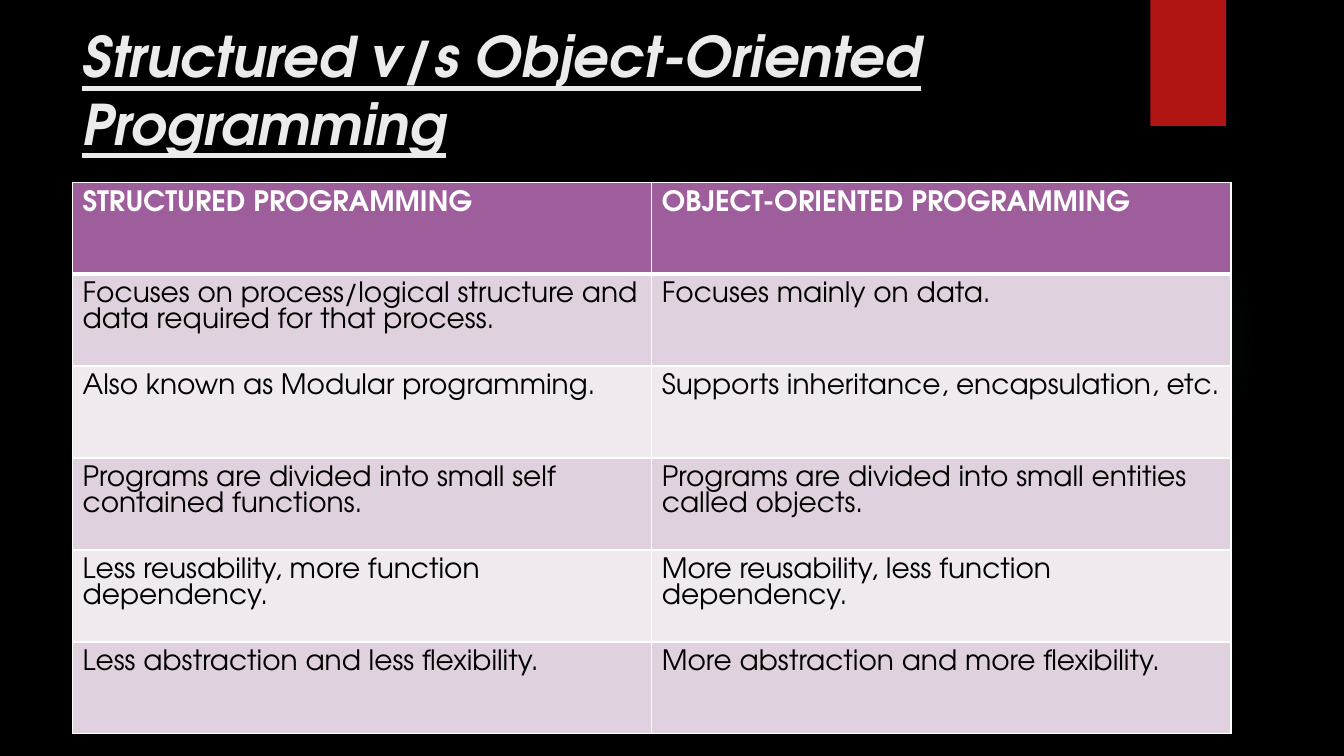
from lxml import etree
from pptx import Presentation
from pptx import util as u
from pptx.dml.color import RGBColor
from pptx.enum import shapes, text
from pptx.oxml import parse_xml
from pptx.oxml.ns import qn, nsdecls

COLORS = {
    "page": "000000", "glow": "50B9C1", "ribbon": "B01513",
    "title": "EBEBEB", "header": "9E5E9B", "odd": "DFD2DE",
    "even": "F0EAEF", "white": "FFFFFF", "body": "000000",
}
FONT = "TeX Gyre Adventor"
WIDTH, HEIGHT = 13.33, 7.5
COMPARISON = [
    ("STRUCTURED PROGRAMMING", "OBJECT-ORIENTED PROGRAMMING"),
    ("Focuses on process/logical structure and data required for that process.",
     "Focuses mainly on data."),
    ("Also known as Modular programming.",
     "Supports inheritance, encapsulation, etc."),
    ("Programs are divided into small self contained functions.",
     "Programs are divided into small entities called objects."),
    ("Less reusability, more function dependency.",
     "More reusability, less function dependency."),
    ("Less abstraction and less flexibility.",
     "More abstraction and more flexibility."),
]


def color(name):
    return RGBColor.from_string(COLORS[name])


def inches(box):
    return [u.Inches(length) for length in box]


def write(frame, words, size, ink, spacing, bold=False, italic=False, underline=False):
    frame.word_wrap = True
    para = frame.paragraphs[0]
    para.line_spacing = u.Pt(spacing)
    span = para.add_run()
    span.text = words
    font = span.font
    font.name, font.size = FONT, u.Pt(size)
    font.bold, font.italic, font.underline = bold, italic, underline
    font.color.rgb = color(ink)


def add_plain_shape(page, kind, box, fill):
    shape = page.shapes.add_shape(kind, *inches(box))
    shape.shadow.inherit = False
    shape.fill.solid()
    shape.fill.fore_color.rgb = color(fill)
    shape.line.fill.background()
    return shape


def add_glow(page, box):
    glow = add_plain_shape(page, shapes.MSO_SHAPE.OVAL, box, "glow")
    stops = "".join(
        f'<a:gs pos="{place * 1000}"><a:srgbClr val="{COLORS["glow"]}">'
        f'<a:alpha val="{alpha * 1000}"/></a:srgbClr></a:gs>'
        for place, alpha in ((0, 7), (36, 6), (69, 0), (100, 0)))
    gradient = parse_xml(
        f'<a:gradFill {nsdecls("a")}><a:gsLst>{stops}</a:gsLst><a:path path="circle">'
        '<a:fillToRect l="50000" t="50000" r="50000" b="50000"/></a:path></a:gradFill>')
    properties = glow.element.spPr
    properties.replace(properties.find(qn("a:solidFill")), gradient)


def add_title(page, box, words):
    frame = page.shapes.add_textbox(*inches(box)).text_frame
    frame.vertical_anchor = text.MSO_ANCHOR.MIDDLE
    write(frame, words, 40, "title", 48, bold=True, italic=True, underline=True)


def add_borders(cell, widths):
    properties = cell._tc.get_or_add_tcPr()
    for index, (side, width) in enumerate(widths.items()):
        line = etree.Element(qn(f"a:ln{side}"), w=str(u.Pt(width)))
        fill = etree.SubElement(line, qn("a:solidFill"))
        etree.SubElement(fill, qn("a:srgbClr"), val=COLORS["white"])
        properties.insert(index, line)


def add_comparison(page, box, rows):
    table = page.shapes.add_table(len(rows), len(rows[0]), *inches(box)).table
    for column in table.columns:
        column.width = u.Inches(box[2] / len(rows[0]))
    for row_index, row in enumerate(rows):
        table.rows[row_index].height = u.Inches(box[3] / len(rows))
        is_header = row_index == 0
        fill = "header" if is_header else ("even", "odd")[row_index % 2]
        for column_index, words in enumerate(row):
            cell = table.cell(row_index, column_index)
            cell.margin_top = u.Inches(0.08)
            cell.fill.solid()
            cell.fill.fore_color.rgb = color(fill)
            write(cell.text_frame, words, 20, "white" if is_header else "body",
                  18.6, bold=is_header)
            add_borders(cell, {"L": 1, "R": 1, "T": 3 if row_index == 1 else 1,
                               "B": 3 if is_header else 1})


def build_comparison_page(deck):
    page = deck.slides.add_slide(deck.slide_layouts[6])
    page.background.fill.solid()
    page.background.fill.fore_color.rgb = color("page")
    left = 0.054 * WIDTH
    add_glow(page, (0.706 * WIDTH, 0.244 * HEIGHT, 3.08, 3.08))
    add_plain_shape(page, shapes.MSO_SHAPE.RECTANGLE,
                    (0.856 * WIDTH, 0, 0.1 * HEIGHT, HEIGHT / 6), "ribbon")
    add_title(page, (left, 0.016 * HEIGHT, 0.772 * WIDTH, 0.204 * HEIGHT),
              "Structured v/s Object-Oriented Programming")
    add_comparison(page, (left, 0.241 * HEIGHT, 0.862 * WIDTH, 0.73 * HEIGHT), COMPARISON)


def main():
    deck = Presentation()
    deck.slide_width, deck.slide_height = inches((WIDTH, HEIGHT))
    build_comparison_page(deck)
    deck.save("out.pptx")


if __name__ == "__main__":
    main()
